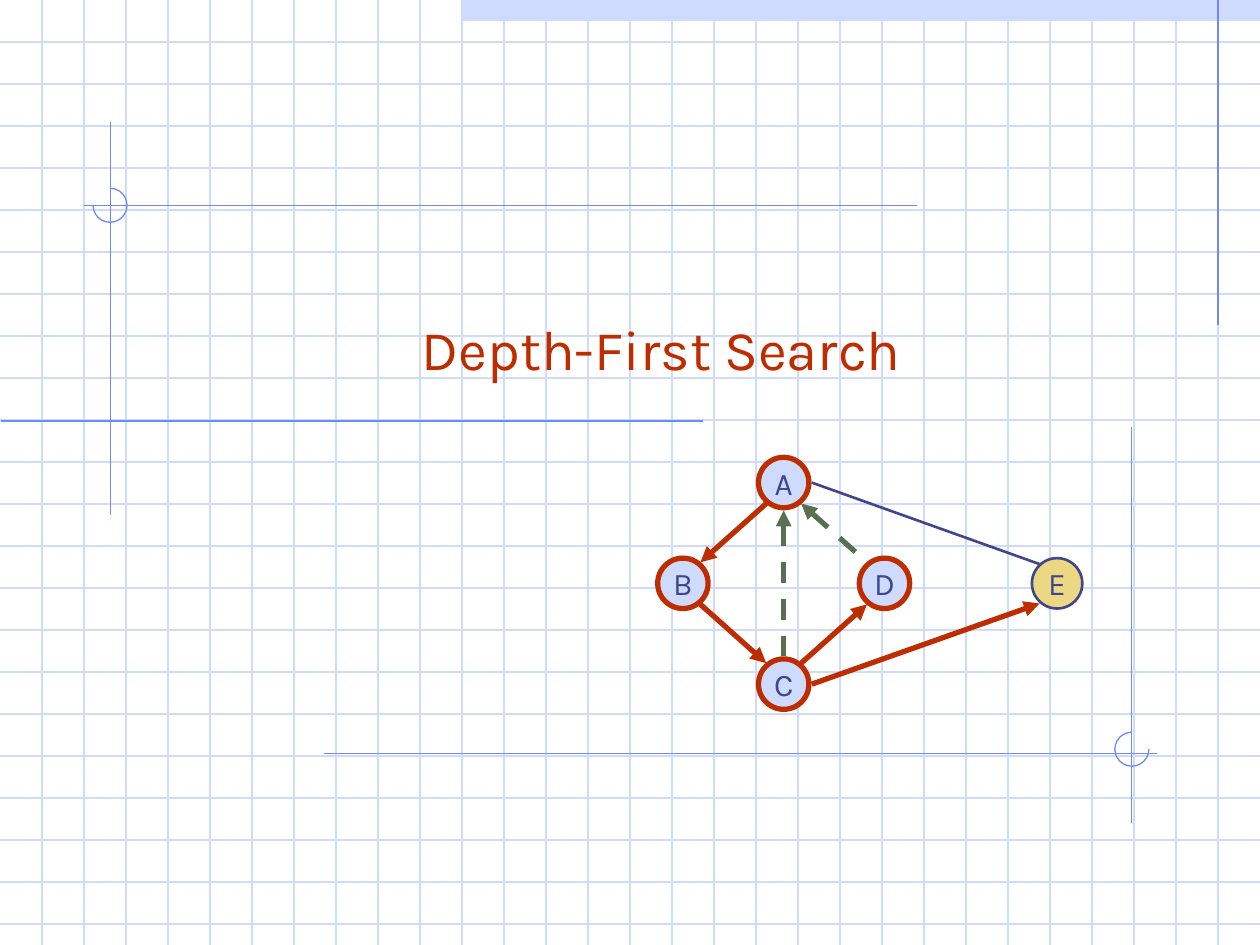
from lxml import etree
from pptx import Presentation
from pptx.dml.color import RGBColor
from pptx.enum import dml, shapes, text
from pptx.oxml import ns
from pptx.util import Pt

WIDTH, HEIGHT, GRID = 720, 540, 24
PALE, BLUE, NAVY = "CFDBFD", "6F89F7", "40458C"
RED, GREEN, GOLD = "BE2D00", "577052", "ECD882"
FONT = "Karla"
DIAMETER = 28.8

# Node centres: a diamond around column 447.84, with E to the right
CENTRES = {
    "D": (505.44, 333.36),
    "B": (390.24, 333.36),
    "A": (447.84, 275.76),
    "C": (447.84, 390.96),
    "E": (604.08, 333.36),
}

# Start node and offset, end node and offset, colour, arrowhead end, dashed
EDGES = [
    ("A", (-10, 12), "B", (10, -12), RED, "tailEnd", False),
    ("C", (-10, -12), "B", (10, 12), RED, "headEnd", False),
    ("C", (10, -12), "D", (-10, 12), RED, "tailEnd", False),
    ("A", (10, 12), "D", (-10, -12), GREEN, "headEnd", True),
    ("A", (0, 16), "C", (0, -16), GREEN, "headEnd", True),
    ("C", (16, 0), "E", (-10, 11.5), RED, "tailEnd", False),
    ("E", (-10, -11), "A", (16, 0), NAVY, None, False),
]


def colour(value):
    return RGBColor.from_string(value)


def style_line(line, value, width):
    line.color.rgb = colour(value)
    line.width = Pt(width)


def add_line(slide, start, end, value, width=0.75, arrow=None, dashed=False):
    connector = slide.shapes.add_connector(
        shapes.MSO_CONNECTOR.STRAIGHT, *(Pt(length) for length in (*start, *end)))
    style_line(connector.line, value, width)
    if dashed:
        connector.line.dash_style = dml.MSO_LINE.DASH
    if arrow:
        etree.SubElement(connector.line._get_or_add_ln(),
                         ns.qn(f"a:{arrow}"), type="triangle")
    etree.SubElement(connector._element.spPr, ns.qn("a:effectLst"))


def add_shape(slide, kind, left, top, width, height, fill=None):
    shape = slide.shapes.add_shape(kind, Pt(left), Pt(top), Pt(width), Pt(height))
    shape.shadow.inherit = False
    if fill:
        shape.fill.solid()
        shape.fill.fore_color.rgb = colour(fill)
    else:
        shape.fill.background()
    return shape


def add_arc(slide, left, top, start, end):
    arc = add_shape(slide, shapes.MSO_SHAPE.ARC, left, top, 19.44, 19.44)
    # Angles are stored in 60000ths of a degree, adjustments in 100000ths
    arc.adjustments[0] = start * 0.6
    arc.adjustments[1] = end * 0.6
    style_line(arc.line, BLUE, 0.75)


def format_text(paragraph, size, value):
    paragraph.alignment = text.PP_ALIGN.CENTER
    paragraph.font.name = FONT
    paragraph.font.size = Pt(size)
    paragraph.font.color.rgb = colour(value)


def add_node(slide, label, visited):
    x, y = CENTRES[label]
    node = add_shape(slide, shapes.MSO_SHAPE.OVAL, x - DIAMETER / 2, y - DIAMETER / 2,
                     DIAMETER, DIAMETER, PALE if visited else GOLD)
    style_line(node.line, RED if visited else NAVY, 3 if visited else 1.5)
    frame = node.text_frame
    frame.word_wrap = False
    frame.vertical_anchor = text.MSO_ANCHOR.MIDDLE
    frame.text = label
    format_text(frame.paragraphs[0], 18, NAVY)


def add_edge(slide, start, start_offset, end, end_offset, value, arrow, dashed):
    points = [(CENTRES[name][0] + dx, CENTRES[name][1] + dy)
              for name, (dx, dy) in ((start, start_offset), (end, end_offset))]
    add_line(slide, *points, value, 3 if arrow else 1.5, arrow, dashed)


def add_background(slide):
    band = add_shape(slide, shapes.MSO_SHAPE.RECTANGLE, 264, 0, 456, 12, PALE)
    band.line.fill.background()

    # Graph paper
    for y in range(GRID, HEIGHT, GRID):
        add_line(slide, (0, y), (WIDTH, y), PALE)
    for x in range(GRID, WIDTH, GRID):
        add_line(slide, (x, 0), (x, HEIGHT), PALE)

    # Construction lines and their corner arcs
    for start, end in [
        ((696, 0), (696, 185.8)),
        ((63.2, 70), (63.2, 294.4)),
        ((401.8, 240.5), (0.7, 240.5)),
        ((524.2, 117.4), (48.2, 117.4)),
        ((185, 430.4), (661, 430.4)),
        ((646.6, 244), (646.6, 470.2)),
    ]:
        add_line(slide, start, end, BLUE)
    add_arc(slide, 53.2, 107.6, 270, 180)
    add_arc(slide, 637.1, 418.4, 0, 270)


def add_title(slide, wording):
    title = slide.shapes.title
    title.left, title.top, title.width, title.height = (
        Pt(length) for length in (72, 132, 612, 90))
    frame = title.text_frame
    frame.auto_size = text.MSO_AUTO_SIZE.NONE
    frame.word_wrap = True
    frame.vertical_anchor = text.MSO_ANCHOR.BOTTOM
    frame.text = wording
    format_text(frame.paragraphs[0], 32, RED)
    # Bring the title in front of the background
    slide.shapes._spTree.append(title._element)


def main():
    presentation = Presentation()
    presentation.slide_width, presentation.slide_height = Pt(WIDTH), Pt(HEIGHT)
    slide = presentation.slides.add_slide(presentation.slide_layouts[5])

    add_background(slide)
    add_title(slide, "Depth-First Search")

    # Graph with the search in progress: E is not yet visited
    for label in CENTRES:
        add_node(slide, label, visited=label != "E")
    for edge in EDGES:
        add_edge(slide, *edge)

    presentation.save("out.pptx")


if __name__ == "__main__":
    main()
